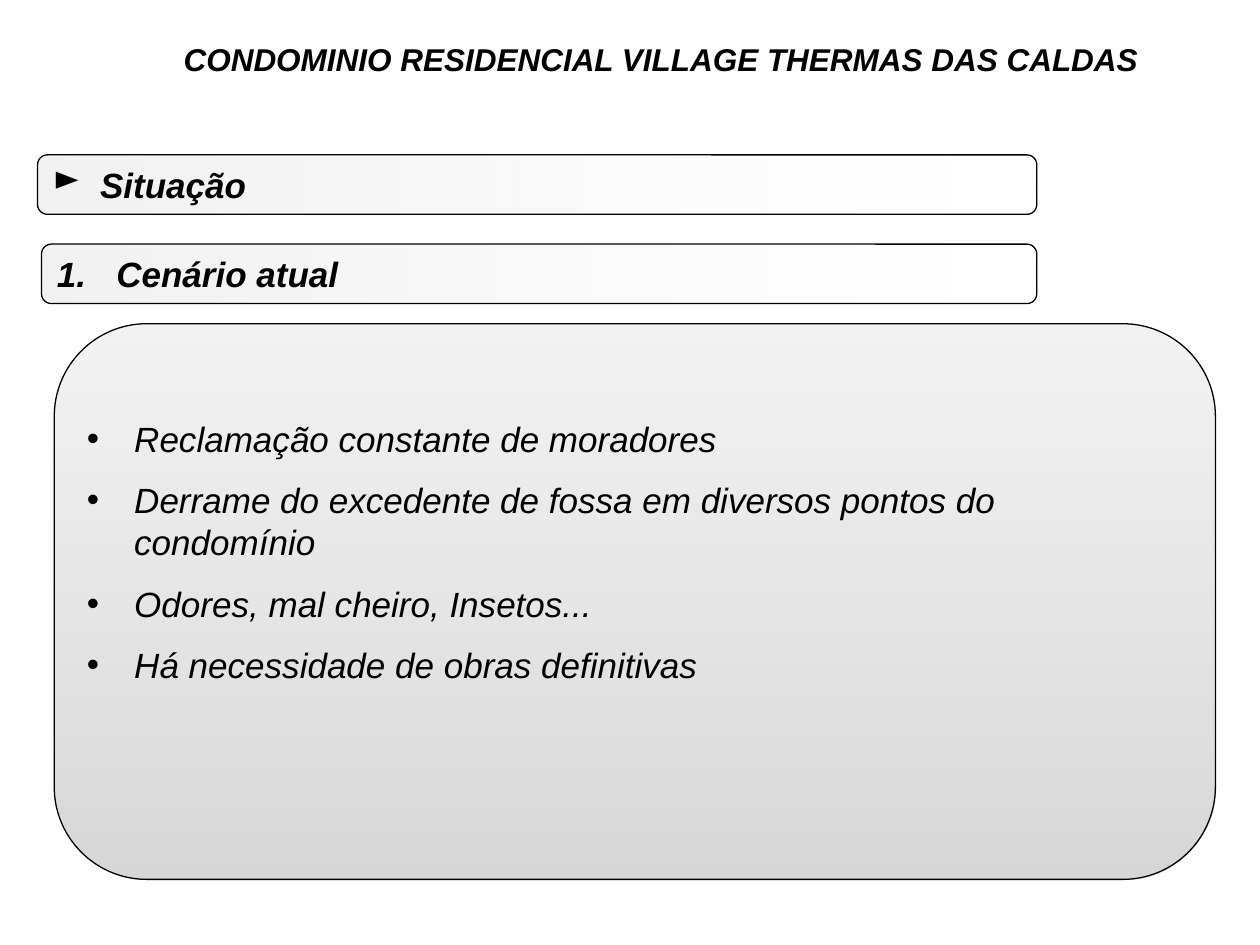
from lxml import etree
from pptx import Presentation
from pptx import util as u
from pptx.dml.color import RGBColor
from pptx.enum import shapes, text
from pptx.oxml.ns import qn

TITLE = "CONDOMINIO RESIDENCIAL VILLAGE THERMAS DAS CALDAS"
COMPLAINTS = [
    "Reclamação constante de moradores",
    "Derrame do excedente de fossa em diversos pontos do condomínio",
    "Odores, mal cheiro, Insetos...",
    "Há necessidade de obras definitivas",
]
COLORS = {"ink": "000000", "bar": "EAEAEA", "white": "FFFFFF",
          "panel_top": "D9D9D9", "panel_bottom": "9B9B9B"}
# Gradient stops: colour name and opacity in percent
BAR_FILL = [("bar", 60), ("white", 40)]
PANEL_FILL = [("panel_top", 32), ("panel_bottom", 40)]

BAR_RIGHT, BAR_HEIGHT = 592.5, 34
# Text, left, top, hanging indent, bullet tag, bullet attributes
HEADINGS = [
    ("Cenário atual", 23.75, 139.5, 34, "a:buAutoNum", {"type": "arabicPeriod"}),
    ("Situação", 21.5, 88.5, 27, "a:buChar", {"char": "►"}),
]
PANEL_BOX = (31, 185, 663.5, 317.5)
TITLE_BOX = (-34, 18, 717, 29.5)
LIST_BOX = (42.5, 235, 634, 201)


def rgb(name):
    return RGBColor.from_string(COLORS[name])


def place(shape, box):
    shape.left, shape.top, shape.width, shape.height = (u.Pt(v) for v in box)


def add_rounded_box(page, box, stops, angle):
    shape = page.shapes.add_shape(shapes.MSO_SHAPE.ROUNDED_RECTANGLE,
                                  *(u.Pt(v) for v in box))
    shape.shadow.inherit = False
    shape.line.color.rgb = rgb("ink")
    shape.line.width = u.Pt(0.75)
    shape.fill.gradient()
    shape.fill.gradient_angle = angle
    for stop, (name, opacity) in zip(shape.fill.gradient_stops, stops):
        stop.color.rgb = rgb(name)
    colors = shape._element.spPr.iterfind(".//" + qn("a:gs") + "/" + qn("a:srgbClr"))
    for color, (name, opacity) in zip(colors, stops):
        etree.SubElement(color, qn("a:alpha"), val=str(opacity * 1000))
    return shape


def write(shape, lines, size=20, bold=False, align=text.PP_ALIGN.LEFT,
          anchor=text.MSO_ANCHOR.TOP, wrap=True, left=0, first=0,
          bullet=("a:buNone", {}), gap=0, spacing=1.0):
    """Fill the shape with one paragraph per line; gap separates paragraphs."""
    frame = shape.text_frame
    frame.word_wrap = wrap
    frame.auto_size = text.MSO_AUTO_SIZE.NONE
    frame.vertical_anchor = anchor
    for index, line in enumerate(lines):
        para = frame.paragraphs[0] if index == 0 else frame.add_paragraph()
        para.alignment = align
        para.line_spacing = spacing
        para.space_before = u.Pt(gap if index else 0)
        props = para._p.get_or_add_pPr()
        props.set("marL", str(u.Pt(left)))
        props.set("indent", str(u.Pt(first)))
        tag, attributes = bullet
        etree.SubElement(props, qn(tag), attributes)
        span = para.add_run()
        span.text = line
        for font in (para.font, span.font):
            font.name = "Arial"
            font.size = u.Pt(size)
            font.bold = bold
            font.italic = True
            font.color.rgb = rgb("ink")


def main():
    deck = Presentation()
    deck.slide_width, deck.slide_height = u.Pt(720), u.Pt(540)
    page = deck.slides.add_slide(deck.slide_layouts[1])

    for heading, left, top, indent, tag, attributes in HEADINGS:
        bar = add_rounded_box(page, (left, top, BAR_RIGHT - left, BAR_HEIGHT),
                              BAR_FILL, 0)
        write(bar, [heading], bold=True, anchor=text.MSO_ANCHOR.MIDDLE, wrap=False,
              left=indent, first=-indent, bullet=(tag, attributes))

    title, body = page.shapes.title, page.placeholders[1]
    place(title, TITLE_BOX)
    write(title, [TITLE], size=18, bold=True, align=text.PP_ALIGN.CENTER,
          left=106.5, spacing=1.07)

    add_rounded_box(page, PANEL_BOX, PANEL_FILL, 270)
    place(body, LIST_BOX)
    write(body, COMPLAINTS, left=27, first=-27, gap=11,
          bullet=("a:buChar", {"char": "•"}))

    # Bring the placeholders in front of the panel
    for holder in (title, body):
        page.shapes._spTree.append(holder._element)
    deck.save("out.pptx")


if __name__ == "__main__":
    main()
